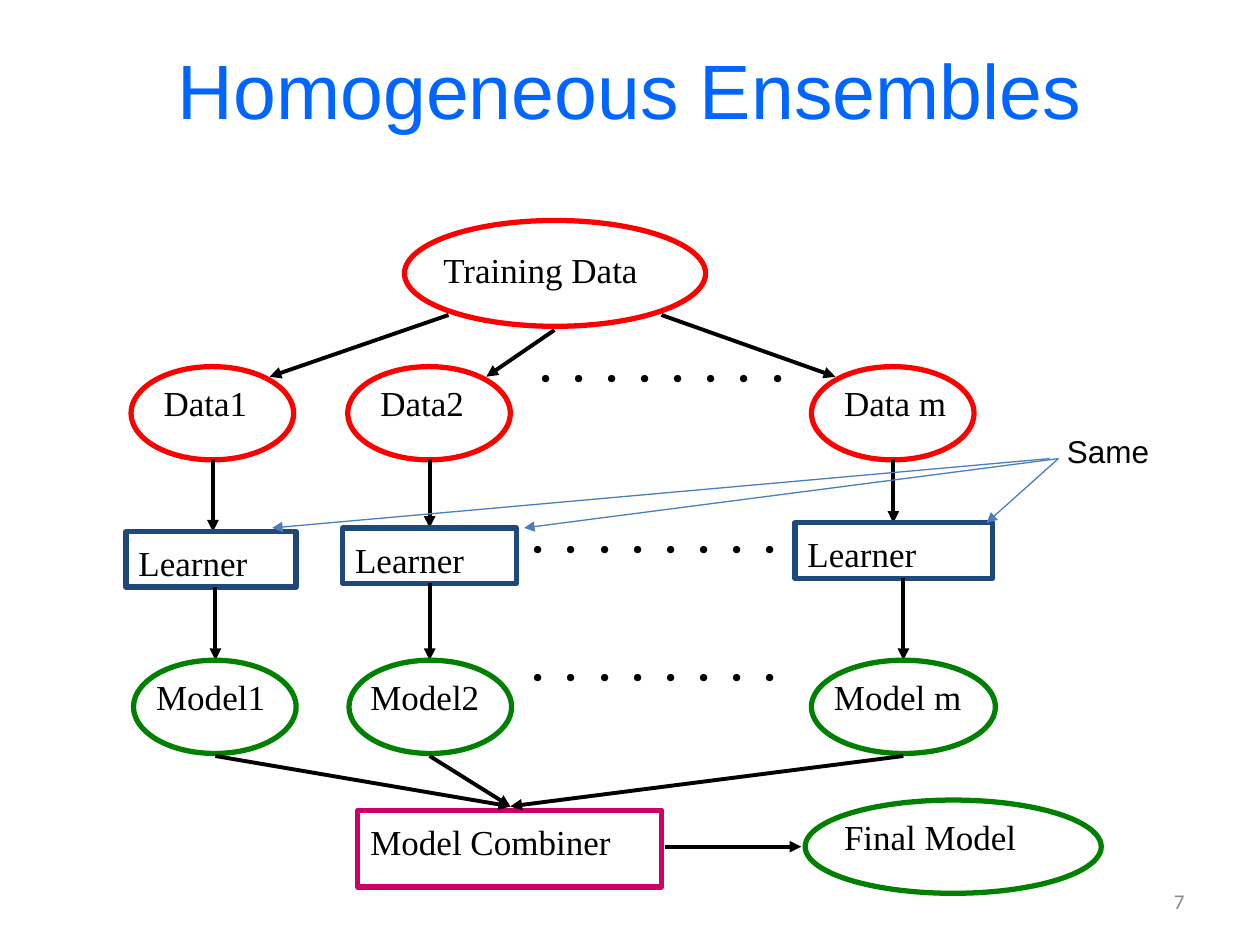
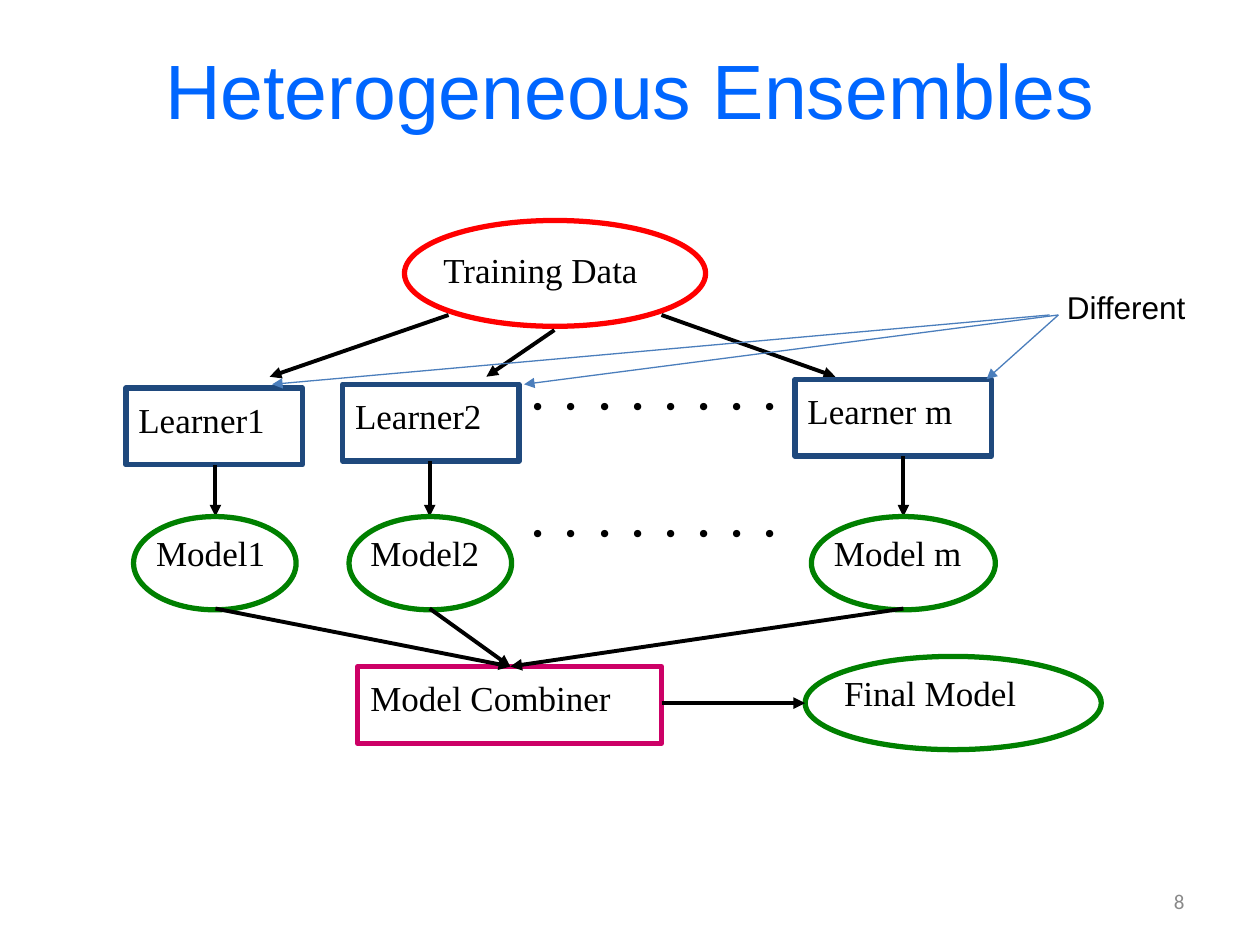
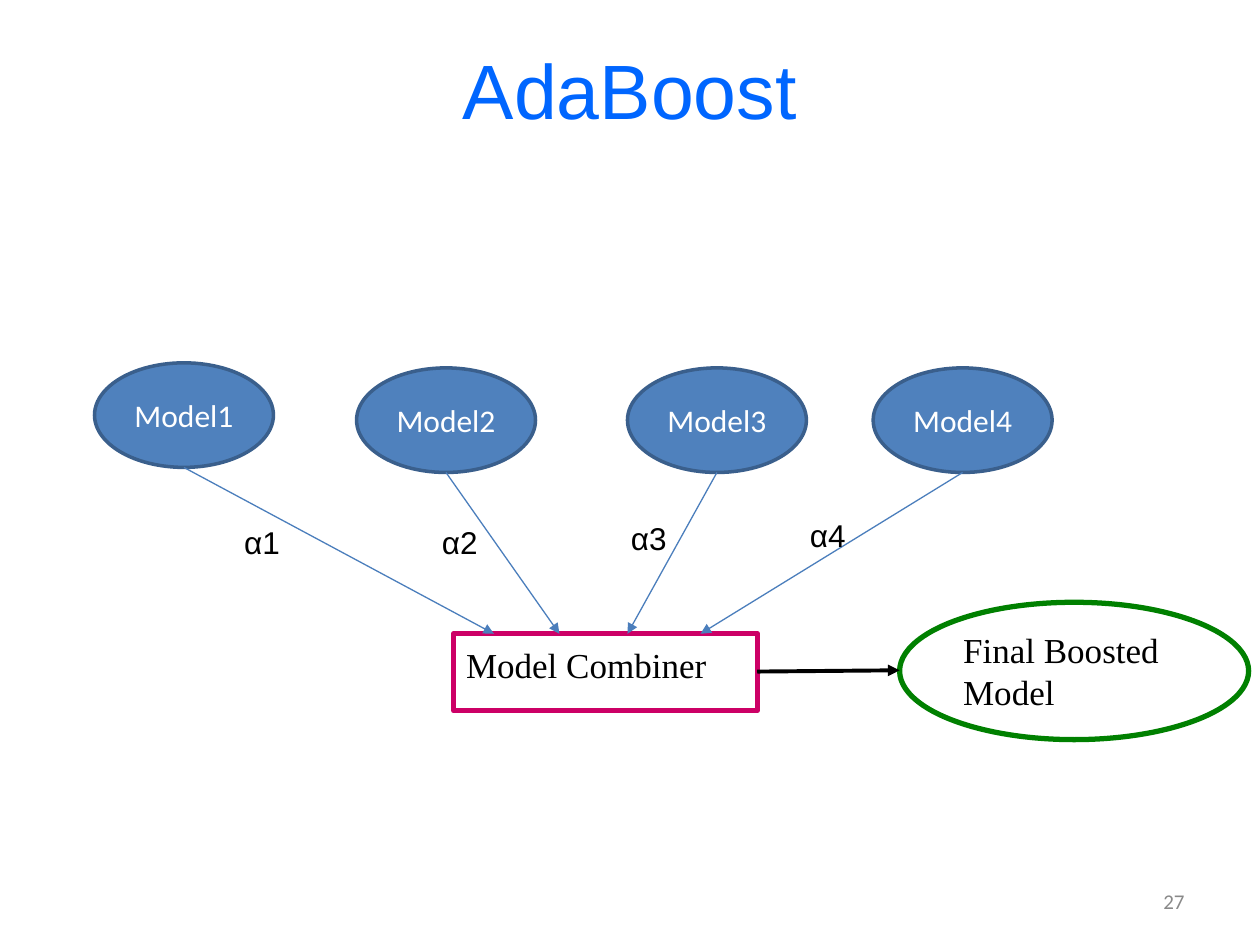
import pptx
import pptx.util
import pptx.dml.color
import pptx.enum.shapes
import pptx.enum.text
import pptx.oxml.ns
import lxml.etree

SHAPE = pptx.enum.shapes.MSO_SHAPE
ALIGN = pptx.enum.text.PP_ALIGN
ANCHOR = pptx.enum.text.MSO_ANCHOR

# Shared look
SANS, SERIF, BODY = "Arial", "Times New Roman", "Calibri"
BLACK, WHITE, GREY = "000000", "FFFFFF", "898989"
TITLE_BLUE, LEARNER_BLUE, CALLOUT_BLUE = "0066FF", "1F497D", "4B7EBC"
BALL_BLUE, BALL_EDGE = "4F81BD", "3A5F8C"
DATA_RED, MODEL_GREEN, COMBINER_PINK = "FF0000", "008000", "CC0066"
DOTS = "⋅ ⋅ ⋅ ⋅ ⋅ ⋅ ⋅ ⋅"

# Grid: 10 columns by 7.5 rows
SLIDE_W, SLIDE_H = pptx.util.Inches(10), pptx.util.Inches(7.5)
COL, ROW = SLIDE_W / 10, SLIDE_H / 7.5


def grid(x, y, *size):
    """Turn columns and rows into slide lengths."""
    return [int(v * unit) for v, unit in zip((x, y, *size), (COL, ROW, COL, ROW))]


def color(code):
    return pptx.dml.color.RGBColor.from_string(code)


def write(s, text, size, font, ink=BLACK, align=ALIGN.LEFT, anchor=ANCHOR.TOP, top=0.05):
    tf = s.text_frame
    tf.word_wrap = True
    tf.vertical_anchor = anchor
    tf.margin_top = int(top * ROW)
    p = tf.paragraphs[0]
    p.text = text
    p.alignment = align
    p.font.size = pptx.util.Pt(size)
    p.font.name = font
    p.font.color.rgb = color(ink)


def label(sp, box, text, size=20, font=SERIF, **style):
    write(sp.add_textbox(*grid(*box)), text, size, font, **style)


def outline(sp, kind, box, edge, width=3, fill=None):
    s = sp.add_shape(kind, *grid(*box))
    s.shadow.inherit = False
    if fill:
        s.fill.solid()
        s.fill.fore_color.rgb = color(fill)
    else:
        s.fill.background()
    s.line.color.rgb = color(edge)
    s.line.width = pptx.util.Pt(width)
    return s


def box_node(sp, box, edge, text):
    write(outline(sp, SHAPE.RECTANGLE, box, edge), text, 20, SERIF, top=0.08)


def oval_node(sp, box, edge, text, dx, dy=0.04):
    """An oval with its label set dx, dy inside its top left corner."""
    x, y, w, h = box
    label(sp, (x + dx, y + dy, w, 0.56), text, top=0.08)
    outline(sp, SHAPE.OVAL, box, edge)


def arrow(sp, start, end, ink=BLACK, width=2.25):
    c = sp.add_connector(pptx.enum.shapes.MSO_CONNECTOR.STRAIGHT, *grid(*start), *grid(*end))
    c.line.color.rgb = color(ink)
    c.line.width = pptx.util.Pt(width)
    qn = pptx.oxml.ns.qn
    lxml.etree.SubElement(c.line._get_or_add_ln(), qn("a:tailEnd"), type="triangle")
    lxml.etree.SubElement(c._element.spPr, qn("a:effectLst"))


def thin_arrow(sp, start, end):
    arrow(sp, start, end, CALLOUT_BLUE, 0.75)


def dots(sp, x, y):
    label(sp, (x, y, 2.4, 0.82), DOTS, 32)


def new_slide(prs, title, number):
    slide = prs.slides.add_slide(prs.slide_layouts[5])
    s = slide.shapes.title
    s.left, s.top, s.width, s.height = grid(0.5, 0.08, 9, 1.25)
    write(s, title, 44, SANS, TITLE_BLUE, ALIGN.CENTER, ANCHOR.MIDDLE)
    label(slide.shapes, (7.17, 6.95, 2.33, 0.4), str(number), 12, BODY,
          ink=GREY, align=ALIGN.RIGHT, anchor=ANCHOR.MIDDLE)
    return slide.shapes


def training_data(sp):
    oval_node(sp, (3.21, 1.75, 2.39, 0.84), DATA_RED, "Training Data", 0.21, 0.14)
    for start, end_x in (((3.56, 2.5), 2.14), ((4.4, 2.62), 3.86), ((5.25, 2.5), 6.63)):
        arrow(sp, start, (end_x, 2.99))


def data_sets(sp, learner_tops):
    columns = ((1.04, "Data1"), (2.76, "Data2"), (6.44, "Data m"))
    for (x, text), tip in zip(columns, learner_tops):
        oval_node(sp, (x, 2.91, 1.29, 0.74), DATA_RED, text, 0.16)
        arrow(sp, (x + 0.65, 3.64), (x + 0.65, tip))
    dots(sp, 4.16, 2.67)


def learner_tops(model_top):
    return [model_top - rise for rise in (1.02, 1.05, 1.09)]


def learners(sp, model_top, names, widths, height, remark):
    tops = learner_tops(model_top)
    for x, y, w, text in zip((1, 2.72, 6.31), tops, widths, names):
        box_node(sp, (x, y, w, height), LEARNER_BLUE, text)
    for x, y in zip((1.71, 3.41, 7.17), tops):
        arrow(sp, (x, y + height), (x, model_top))
    dots(sp, 4.1, model_top - 1.21)
    # Remark that points at all learners
    for start_x, end_x, y in zip((8.33, 8.4, 8.4), (2.16, 4.16, 7.83),
                                 (tops[1], tops[1], tops[2])):
        thin_arrow(sp, (start_x, model_top - 1.6), (end_x, y))
    label(sp, (8.37, model_top - 1.86, 1.4, 0.4), remark, 18, SANS)


def combine_models(sp, top, gap):
    """Models, combiner and final model; gap is the air around the arrows."""
    for x, w, text, dx in ((1.06, 1.29, "Model1", 0.08), (2.77, 1.29, "Model2", 0.07),
                           (6.44, 1.46, "Model m", 0.08)):
        oval_node(sp, (x, top, w, 0.74), MODEL_GREEN, text, dx)
    dots(sp, 4.1, top - 0.2)
    box_node(sp, (2.84, top + 1.19, 2.41, 0.61), COMBINER_PINK, "Model Combiner")
    for x in (1.71, 3.41, 7.17):
        arrow(sp, (x, top + 0.73 + gap), (4.05, top + 1.19 - gap))
    oval_node(sp, (6.39, top + 1.11, 2.35, 0.74), MODEL_GREEN, "Final Model", 0.21)
    arrow(sp, (5.25 + gap, top + 1.48), (6.39 - gap, top + 1.48))


def homogeneous(prs):
    sp = new_slide(prs, "Homogeneous Ensembles", 7)
    top = 5.24
    training_data(sp)
    data_sets(sp, learner_tops(top))
    learners(sp, top, ["Learner"] * 3, (1.35, 1.38, 1.57), 0.44, "Same")
    combine_models(sp, top, 0.03)


def heterogeneous(prs):
    sp = new_slide(prs, "Heterogeneous Ensembles", 8)
    top = 4.1
    training_data(sp)
    learners(sp, top, ("Learner1", "Learner2", "Learner m"), (1.4, 1.4, 1.56), 0.61, "Different")
    combine_models(sp, top, 0)


def adaboost(prs):
    sp = new_slide(prs, "AdaBoost", 27)
    # Combiner and result
    box_node(sp, (3.6, 5.03, 2.41, 0.61), COMBINER_PINK, "Model Combiner")
    final = outline(sp, SHAPE.OVAL, (7.14, 4.78, 2.77, 1.09), MODEL_GREEN)
    write(final, "Final Boosted Model", 20, SERIF, anchor=ANCHOR.MIDDLE)
    arrow(sp, (6.01, 5.33), (7.14, 5.32))
    # Weighted models: left, top, arrow tip, weight position
    models = ((0.75, 2.88, 3.92, (1.84, 4.1)), (2.83, 2.92, 4.44, (3.41, 4.1)),
              (4.98, 2.92, 4.98, (4.91, 4.07)), (6.93, 2.92, 5.56, (6.33, 4.05)))
    for i, (x, y, tip, weight) in enumerate(models, 1):
        ball = outline(sp, SHAPE.OVAL, (x, y, 1.42, 0.83), BALL_EDGE, 2, BALL_BLUE)
        write(ball, f"Model{i}", 18, BODY, WHITE, ALIGN.CENTER, ANCHOR.MIDDLE)
        thin_arrow(sp, (x + 0.71, y + 0.83), (tip, 5.03))
        label(sp, (*weight, 0.6, 0.4), f"α{i}", 18, SANS)


def main():
    prs = pptx.Presentation()
    prs.slide_width, prs.slide_height = SLIDE_W, SLIDE_H
    homogeneous(prs)
    heterogeneous(prs)
    adaboost(prs)
    prs.save("out.pptx")


if __name__ == "__main__":
    main()
